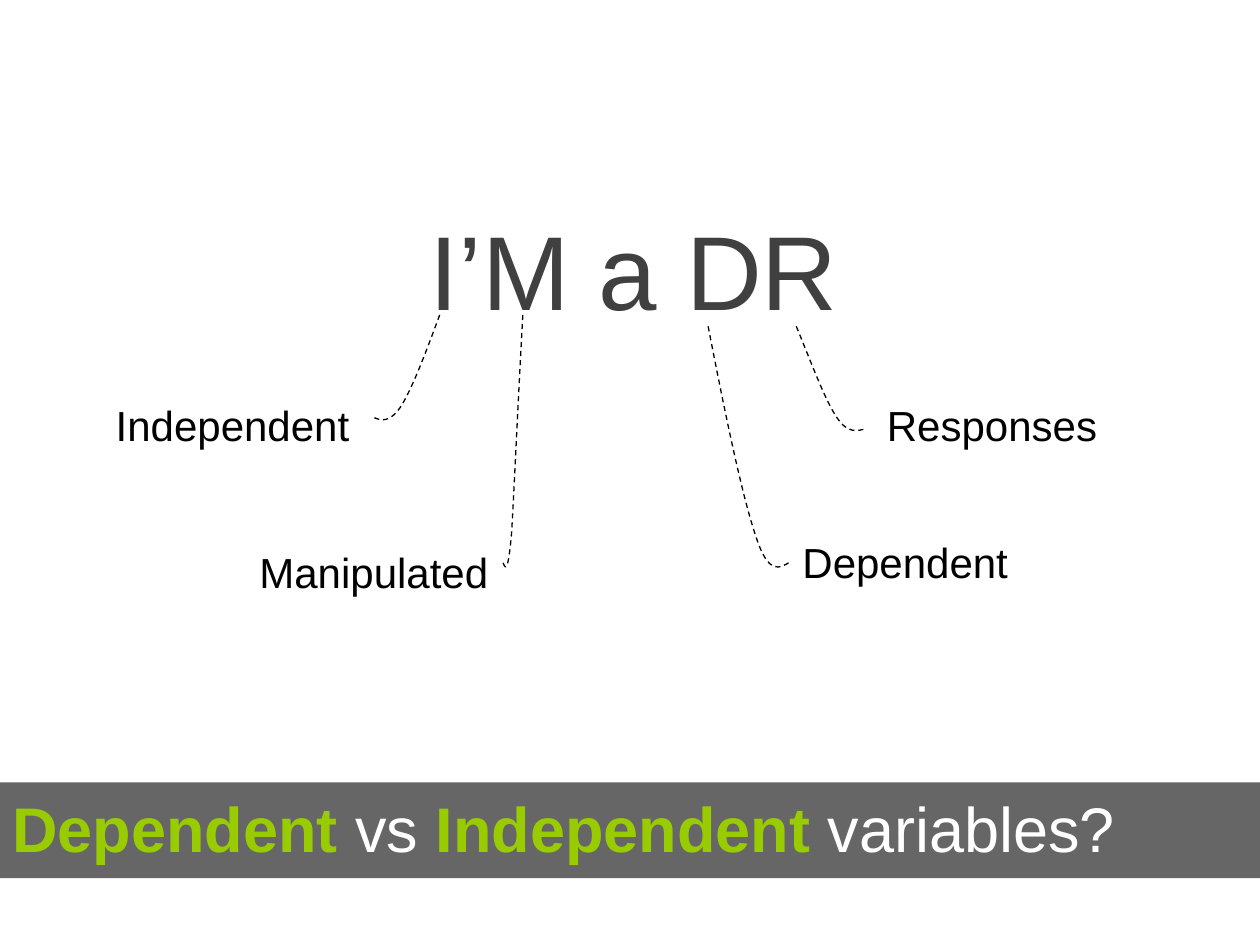
from dataclasses import dataclass

from lxml.etree import SubElement
from pptx import Presentation
from pptx.dml.color import RGBColor
from pptx.enum.dml import MSO_LINE
from pptx.enum.shapes import MSO_SHAPE
from pptx.enum.text import MSO_ANCHOR, PP_ALIGN
from pptx.oxml.ns import qn
from pptx.util import Inches, Pt


@dataclass(frozen=True)
class Theme:
    font: str = "Arial"
    black: RGBColor = RGBColor(0x00, 0x00, 0x00)
    grey: RGBColor = RGBColor(0x40, 0x40, 0x40)
    green: RGBColor = RGBColor(0x99, 0xCC, 0x00)
    white: RGBColor = RGBColor(0xFF, 0xFF, 0xFF)
    mnemonic_size: int = 60
    label_size: int = 24
    banner_size: int = 36
    leader_width: float = 0.75
    banner_alpha: int = 60000


THEME = Theme()

LABEL_SIZE = (3.05, 0.5)
LABELS = [
    ("Independent", 0.82, 3.08),
    ("Manipulated", 1.96, 4.25),
    ("Dependent", 6.27, 4.17),
    ("Responses", 6.94, 3.08),
]

# Lowest point of each curve, its start, then two Bezier segments
LEADERS = [
    (3.33, (3.49, 2.5), [(3.38, 2.8), (3.27, 3.09), (3.18, 3.23),
                         (3.09, 3.36), (3.02, 3.34), (2.96, 3.31)]),
    (4.5, (4.15, 2.5), [(4.11, 3.21), (4.08, 3.92), (4.06, 4.24),
                        (4.03, 4.57), (4.01, 4.51), (3.99, 4.46)]),
    (4.5, (5.62, 2.59), [(5.75, 3.26), (5.89, 3.94), (6, 4.26),
                         (6.1, 4.57), (6.19, 4.51), (6.27, 4.46)]),
    (3.42, (6.32, 2.59), [(6.44, 2.88), (6.55, 3.18), (6.64, 3.31),
                          (6.73, 3.45), (6.81, 3.42), (6.88, 3.4)]),
]

BANNER_RUNS = [
    ("Dependent ", True),
    ("vs ", False),
    ("Independent", True),
    (" variables?", False),
]


def style_run(r, size, color, bold=False):
    r.font.name = THEME.font
    r.font.size = Pt(size)
    r.font.bold = bold
    r.font.color.rgb = color


def add_text(slide, text, box, size, color, align, top_inset):
    sp = slide.shapes.add_textbox(*map(Inches, box))
    tf = sp.text_frame
    tf.word_wrap = True
    tf.margin_top, tf.margin_bottom = Inches(top_inset), Inches(0.02)
    tf.text = text
    p = tf.paragraphs[0]
    p.alignment = align
    style_run(p.runs[0], size, color)


def add_leader(slide, bottom, start, points):
    """Draw a dashed curve; its outline spans start, lowest point and end."""
    x, y = map(Inches, start)
    end = points[-1]
    builder = slide.shapes.build_freeform(x, y)
    builder.add_line_segments(
        [tuple(map(Inches, pt)) for pt in ((end[0], bottom), end)], close=False)
    sp = builder.convert_to_shape()
    sp.shadow.inherit = False
    sp.fill.background()
    sp.line.color.rgb = THEME.black
    sp.line.width = Pt(THEME.leader_width)
    sp.line.dash_style = MSO_LINE.DASH

    # Replace the straight segments with Bezier segments
    path = next(sp._element.iter(qn("a:path")))
    for line in path.findall(qn("a:lnTo")):
        path.remove(line)
    for i in range(0, len(points), 3):
        curve = SubElement(path, qn("a:cubicBezTo"))
        for px, py in points[i:i + 3]:
            SubElement(curve, qn("a:pt"), x=str(Inches(px) - sp.left),
                       y=str(Inches(py) - sp.top))


def add_banner(slide, box, runs):
    sp = slide.shapes.add_shape(MSO_SHAPE.RECTANGLE, *map(Inches, box))
    sp.shadow.inherit = False
    sp.line.fill.background()
    sp.fill.solid()
    sp.fill.fore_color.rgb = THEME.black
    color = next(sp._element.spPr.iter(qn("a:srgbClr")))
    SubElement(color, qn("a:alpha"), val=str(THEME.banner_alpha))

    tf = sp.text_frame
    tf.word_wrap = True
    tf.vertical_anchor = MSO_ANCHOR.BOTTOM
    tf.margin_top, tf.margin_bottom = Inches(0.05), Inches(0.1)
    p = tf.paragraphs[0]
    p.alignment = PP_ALIGN.LEFT
    for text, is_key in runs:
        r = p.add_run()
        r.text = text
        style_run(r, THEME.banner_size,
                  THEME.green if is_key else THEME.white, is_key)


def main():
    prs = Presentation()
    prs.slide_width, prs.slide_height = Inches(10), Inches(7.5)
    slide = prs.slides.add_slide(prs.slide_layouts[6])

    # Mnemonic
    add_text(slide, "I’M a DR", (0.57, 1.5, 8.92, 0.66),
             THEME.mnemonic_size, THEME.grey, PP_ALIGN.CENTER, 0.13)

    # Leader curves and the words they point to
    for leader in LEADERS:
        add_leader(slide, *leader)
    for text, left, top in LABELS:
        add_text(slide, text, (left, top, *LABEL_SIZE),
                 THEME.label_size, THEME.black, PP_ALIGN.JUSTIFY, 0.09)

    # Question banner
    add_banner(slide, (0, 6.21, 10, 0.76), BANNER_RUNS)

    prs.save("out.pptx")


if __name__ == "__main__":
    main()
